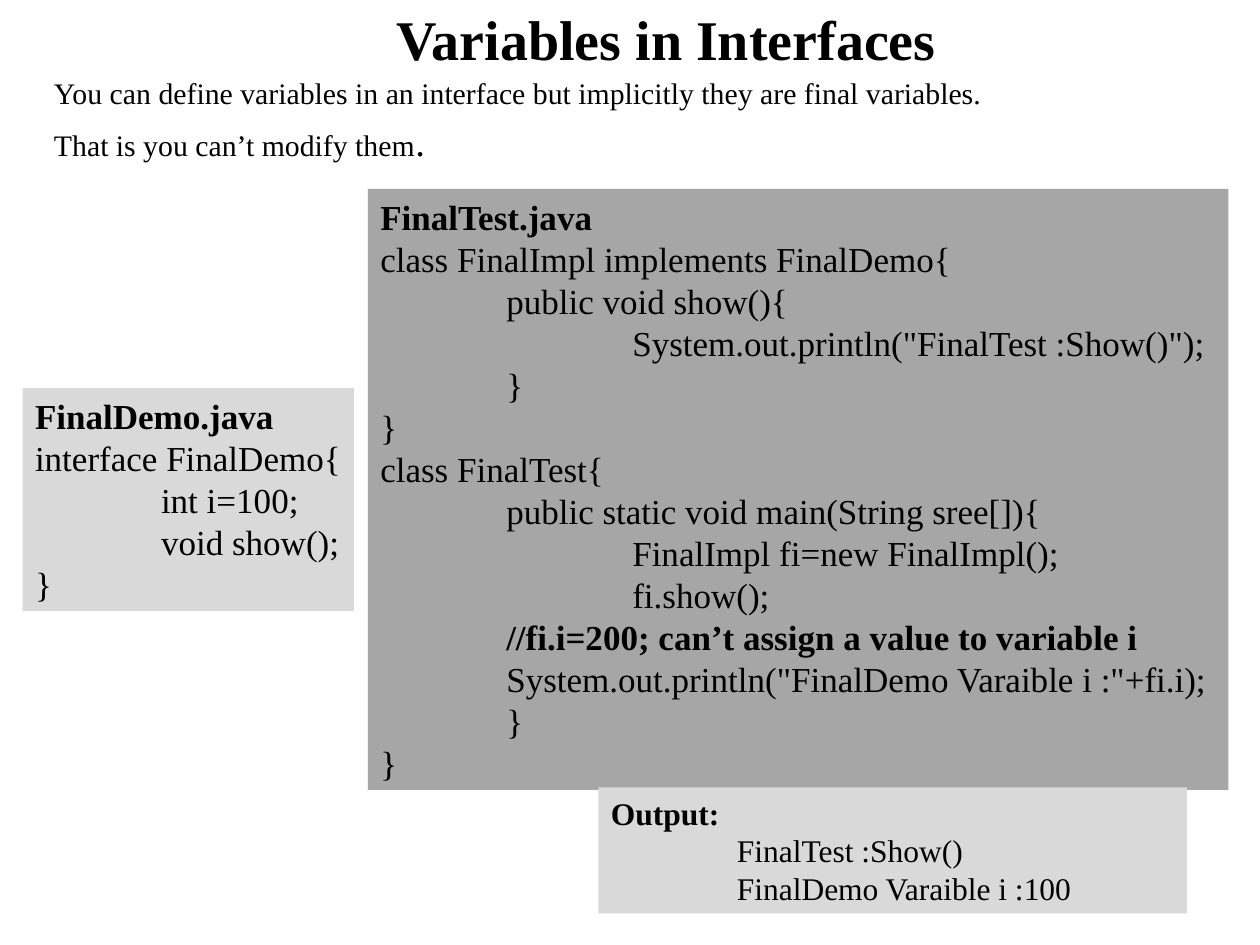
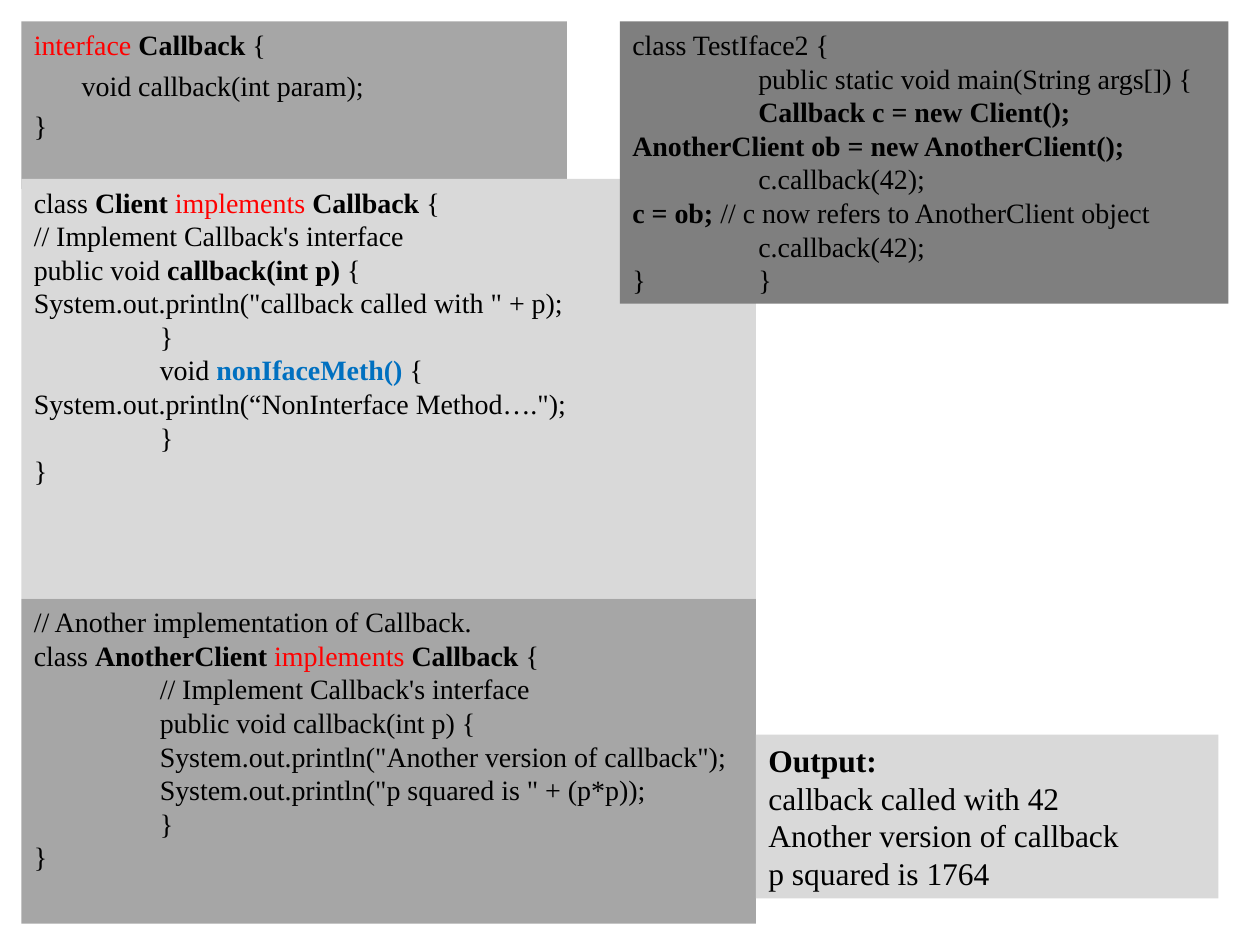
import pptx
import pptx.util
import pptx.dml.color
import pptx.enum.shapes
import pptx.enum.text
import pptx.oxml.ns
import lxml.etree

Inches, Pt = pptx.util.Inches, pptx.util.Pt
PP = pptx.enum.text
FONT = "Times New Roman"
COLORS = {
    "text": "000000", "keyword": "FF0000", "method": "0070C0",
    "light": "D9D9D9", "medium": "A6A6A6", "dark": "7F7F7F",
}
# Text styles: (colour name, bold)
STYLES = {
    "plain": ("text", False), "bold": ("text", True),
    "keyword": ("keyword", False), "method": ("method", True),
}


def rgb(name):
    return pptx.dml.color.RGBColor.from_string(COLORS[name])


def set_font(font, size, style):
    color, bold = STYLES[style]
    font.name, font.size, font.bold = FONT, Pt(size), bold
    font.color.rgb = rgb(color)


def add_tab_stops(paragraph):
    """One left tab stop per inch."""
    properties = paragraph._p.get_or_add_pPr()
    qn = pptx.oxml.ns.qn
    stops = lxml.etree.SubElement(properties, qn("a:tabLst"))
    for inch in range(8):
        lxml.etree.SubElement(stops, qn("a:tab"), pos=str(Inches(inch)), algn="l")


def write_lines(frame, lines, size, space_before=0, hanging=0, line_spacing=None):
    """A line is a string or a list of (text, style) pieces."""
    for index, line in enumerate(lines):
        paragraph = frame.paragraphs[0] if index == 0 else frame.add_paragraph()
        pieces = [(line, "plain")] if isinstance(line, str) else line
        add_tab_stops(paragraph)
        paragraph.alignment = PP.PP_ALIGN.LEFT
        if line_spacing:
            paragraph.line_spacing = line_spacing
        if space_before and index:
            paragraph.space_before = Pt(space_before)
        if hanging:
            properties = paragraph._p.get_or_add_pPr()
            properties.set("marL", str(Inches(hanging)))
            properties.set("indent", str(-Inches(hanging)))
        base = pieces[0][1] if len(pieces) == 1 else "plain"
        set_font(paragraph.font, size, base)
        for text, style in pieces:
            run = paragraph.add_run()
            run.text = text
            if style != base:
                color, run.font.bold = STYLES[style]
                run.font.color.rgb = rgb(color)


def add_panel(slide, box, fill, lines, size=16, fit=True, wrap=True, **spacing):
    """Grey panel holding code or program output."""
    panel = slide.shapes.add_shape(
        pptx.enum.shapes.MSO_SHAPE.RECTANGLE, *map(Inches, box))
    panel.shadow.inherit = False
    panel.fill.solid()
    panel.fill.fore_color.rgb = rgb(fill)
    panel.line.fill.background()
    frame = panel.text_frame
    frame.word_wrap = wrap
    frame.vertical_anchor = PP.MSO_ANCHOR.TOP
    frame.auto_size = (PP.MSO_AUTO_SIZE.SHAPE_TO_FIT_TEXT if fit
                       else PP.MSO_AUTO_SIZE.NONE)
    write_lines(frame, lines, size, **spacing)


def add_title(slide, box, text):
    title = slide.shapes.title
    title.left, title.top, title.width, title.height = map(Inches, box)
    frame = title.text_frame
    frame.auto_size = PP.MSO_AUTO_SIZE.NONE
    frame.vertical_anchor = PP.MSO_ANCHOR.BOTTOM
    frame.margin_bottom = Inches(0.1)
    frame.text = text
    paragraph = frame.paragraphs[0]
    paragraph.alignment = PP.PP_ALIGN.CENTER
    set_font(paragraph.font, 32, "bold")


def add_introduction(slide, box):
    frame = slide.shapes.add_textbox(*map(Inches, box)).text_frame
    frame.word_wrap = True
    write_lines(frame, [
        "You can define variables in an interface but implicitly they are final variables.",
        [("That is you can’t modify them", "plain"), (".", "plain")],
    ], 17, space_before=6.5, hanging=0.38, line_spacing=0.9)
    full_stop = frame.paragraphs[1].runs[1]
    full_stop.font.size = Pt(22.1)


def build_variables_slide(deck):
    slide = deck.slides.add_slide(deck.slide_layouts[5])
    add_introduction(slide, (0.33, 0.58, 9.42, 0.83))
    add_title(slide, (0.58, 0.17, 9.42, 0.5), "Variables in Interfaces")
    # Class that implements the interface
    add_panel(slide, (2.92, 1.5, 6.83, 4.77), "medium", [
        [("FinalTest.java", "bold")],
        "class FinalImpl implements FinalDemo{",
        "\tpublic void show(){",
        "\t\tSystem.out.println(\"FinalTest :Show()\");",
        "\t}",
        "}",
        "class FinalTest{",
        "\tpublic static void main(String sree[]){",
        "\t\tFinalImpl fi=new FinalImpl();",
        "\t\tfi.show();",
        [("\t//fi.i=200; can’t assign a value to variable i", "bold")],
        "\tSystem.out.println(\"FinalDemo Varaible i :\"+fi.i);",
        "\t}",
        "}",
    ], size=20)
    # Interface
    add_panel(slide, (0.18, 3.08, 2.63, 1.77), "light", [
        [("FinalDemo.java", "bold")],
        "interface FinalDemo{",
        "\tint i=100;",
        "\tvoid show();",
        "}",
    ], size=20, wrap=False)
    # Output
    add_panel(slide, (4.75, 6.25, 4.67, 1), "light", [
        [("Output:", "bold")],
        "\tFinalTest :Show()",
        "\tFinalDemo Varaible i :100",
    ], size=18)


def class_heading(name):
    return [("class ", "plain"), (name + " ", "bold"), ("implements ", "keyword"),
            ("Callback", "bold"), (" {", "plain")]


def build_callback_slide(deck):
    slide = deck.slides.add_slide(deck.slide_layouts[6])
    # Interface
    add_panel(slide, (0.17, 0.17, 4.33, 1.33), "medium", [
        [("interface ", "keyword"), ("Callback", "bold"), (" {", "plain")],
        "\tvoid callback(int param);",
        "}",
    ], fit=False, space_before=4, hanging=0.38)
    # First implementation
    add_panel(slide, (0.17, 1.42, 5.83, 3.33), "light", [
        class_heading("Client"),
        "// Implement Callback's interface",
        [("public void ", "plain"), ("callback(int p)", "bold"), (" {", "plain")],
        "System.out.println(\"callback called with \" + p);",
        "\t}",
        [("\tvoid ", "plain"), ("nonIfaceMeth() ", "method"), ("{", "plain")],
        "System.out.println(“NonInterface Method….\");",
        "\t}",
        "}",
    ], fit=False)
    # Second implementation
    add_panel(slide, (0.17, 4.75, 5.83, 2.58), "medium", [
        "// Another implementation of Callback.",
        class_heading("AnotherClient"),
        "\t// Implement Callback's interface",
        "\tpublic void callback(int p) {",
        "\tSystem.out.println(\"Another version of callback\");",
        "\tSystem.out.println(\"p squared is \" + (p*p));",
        "\t}",
        "}",
    ], fit=False)
    # Test program
    add_panel(slide, (4.92, 0.17, 4.83, 2.24), "dark", [
        "class TestIface2 {",
        "\tpublic static void main(String args[]) {",
        [("\tCallback c = new Client();", "bold")],
        [("AnotherClient ob = new AnotherClient();", "bold")],
        "\tc.callback(42);",
        [("c = ob; ", "bold"), ("// c now refers to AnotherClient object", "plain")],
        "\tc.callback(42);",
        "}\t}",
    ])
    # Output
    add_panel(slide, (6, 5.83, 3.67, 1.3), "light", [
        [("Output:", "bold")],
        "callback called with 42",
        "Another version of callback",
        "p squared is 1764",
    ], size=18)


def main():
    deck = pptx.Presentation()
    deck.slide_width, deck.slide_height = Inches(10), Inches(7.5)
    build_variables_slide(deck)
    build_callback_slide(deck)
    deck.save("out.pptx")


if __name__ == "__main__":
    main()
